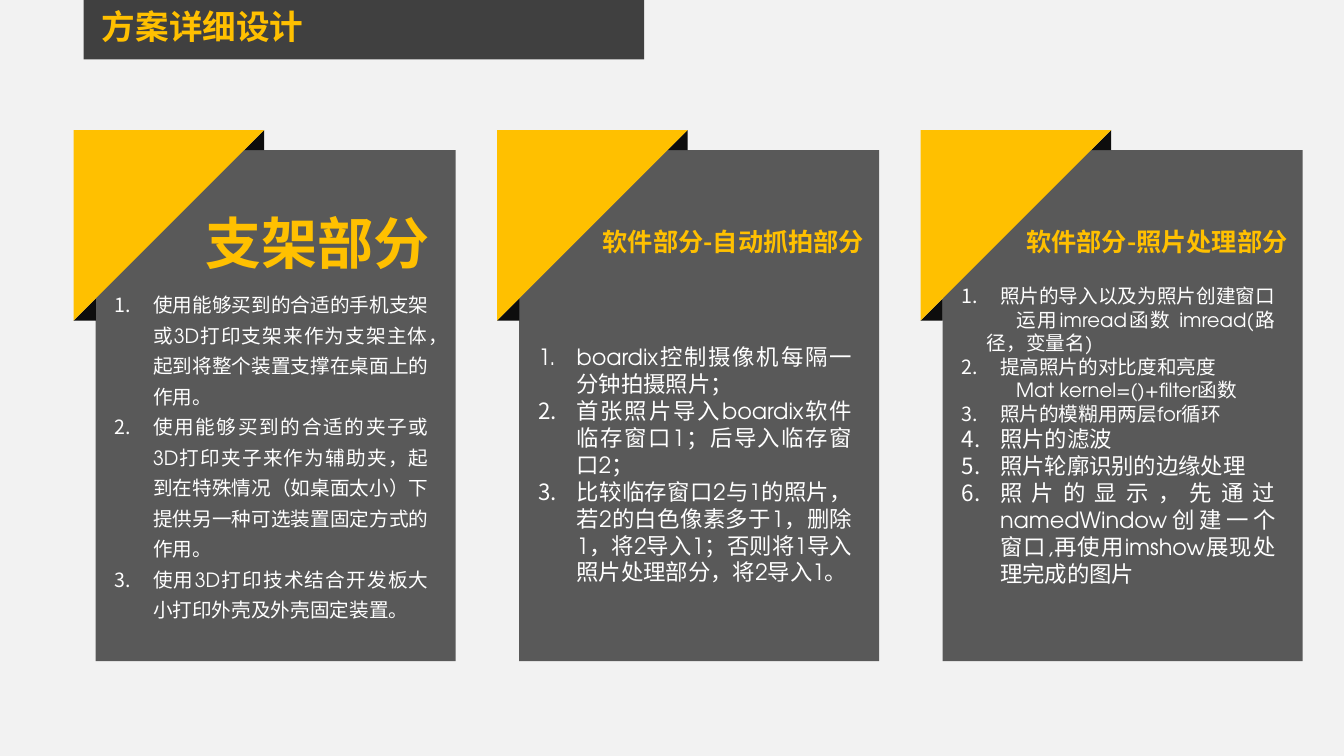
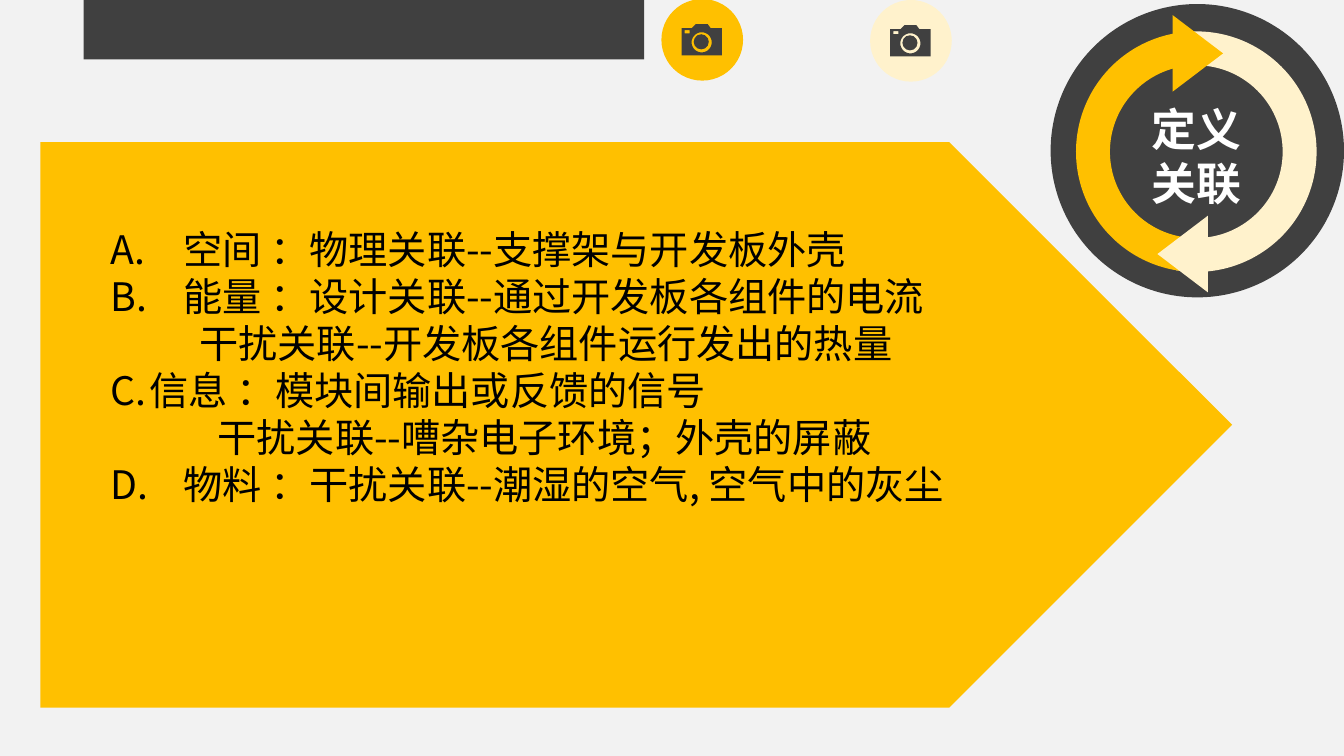
from math import cos, pi, sin

from lxml.etree import SubElement
from pptx import Presentation
from pptx.dml.color import RGBColor
from pptx.enum.shapes import MSO_SHAPE as Preset
from pptx.enum.text import MSO_ANCHOR as Anchor, PP_ALIGN as Align
from pptx.oxml.ns import qn
from pptx.util import Inches, Pt

COLORS = {
    "paper": "F2F2F2",
    "band": "404040",
    "card": "595959",
    "fold": "0D0D0D",
    "gold": "FFC000",
    "cream": "FFF2CC",
    "white": "FFFFFF",
    "black": "000000",
}
LATIN = "TeX Gyre Adventor"
CJK = "Noto Sans CJK SC"
TITLE_ONLY = 5
LINE_HEIGHT = 1.2
CARD_STEP = 4.2
HANG = 0.38

CARDS = [
    {
        "heading": "支架部分", "heading_size": 40, "heading_left": 0.99,
        "body_top": 1.3, "spacing": 1.3,
        "items": [
            ("使用能够买到的合适的手机支架或3D打印支架来作为支架主体，起到将整个装置支撑在桌面上的作用。", 14, 1),
            ("使用能够买到的合适的夹子或3D打印夹子来作为辅助夹，起到在特殊情况（如桌面太小）下提供另一种可选装置固定方式的作用。", 14, 1),
            ("使用3D打印技术结合开发板大小打印外壳及外壳固定装置。", 14, 1),
        ],
    },
    {
        "heading": "软件部分-自动抓拍部分", "heading_size": 18, "heading_left": 0.73,
        "body_top": 1.87, "spacing": 1,
        "items": [
            ("boardix控制摄像机每隔一分钟拍摄照片；", 16, 1),
            ("首张照片导入boardix软件临存窗口1；后导入临存窗口2；", 16, 1),
            ("比较临存窗口2与1的照片，若2的白色像素多于1，删除1，将2导入1；否则将1导入照片处理部分，将2导入1。", 16, 1),
        ],
    },
    {
        "heading": "软件部分-照片处理部分", "heading_size": 18, "heading_left": 0.73,
        "body_top": 1.28, "spacing": 1,
        "items": [
            ("照片的导入以及为照片创建窗口", 14, 1),
            ("运用imread函数 imread(路径，变量名)", 14, None),
            ("提高照片的对比度和亮度", 14, 2),
            ("Mat kernel=()+filter函数", 14, None),
            ("照片的模糊用两层for循环", 14, 3),
            ("照片的滤波", 16, 3),
            ("照片轮廓识别的边缘处理", 16, 3),
            ("照片的显示，先通过namedWindow创建一个窗口,再使用imshow展现处理完成的图片", 16, 3),
        ],
    },
]

RELATIONS = [
    ("空间 ：物理关联--支撑架与开发板外壳", 0.72, 1),
    ("能量 ：设计关联--通过开发板各组件的电流", 0.72, 2),
    ("干扰关联--开发板各组件运行发出的热量", 0.88, None),
    ("信息 ：模块间输出或反馈的信号", HANG, 3),
    ("干扰关联--嘈杂电子环境；外壳的屏蔽", 1.06, None),
    ("物料 ：干扰关联--潮湿的空气, 空气中的灰尘", 0.72, 4),
]


def rgb(color):
    return RGBColor.from_string(COLORS[color])


def paint(shape, color):
    shape.shadow.inherit = False
    shape.fill.solid()
    shape.fill.fore_color.rgb = rgb(color)
    shape.line.fill.background()
    return shape


def add_shape(page, preset, left, top, width, height, color, rotation=0):
    shape = page.shapes.add_shape(
        preset, Inches(left), Inches(top), Inches(width), Inches(height))
    shape.rotation = rotation
    return paint(shape, color)


def add_text_box(page, left, top, width, height, anchor=Anchor.TOP):
    box = page.shapes.add_textbox(
        Inches(left), Inches(top), Inches(width), Inches(height))
    box.text_frame.word_wrap = True
    box.text_frame.vertical_anchor = anchor
    return box.text_frame


def place_title(page, left, top, width, height, anchor):
    title = page.shapes.title
    title.left, title.top = Inches(left), Inches(top)
    title.width, title.height = Inches(width), Inches(height)
    title.text_frame.word_wrap = True
    title.text_frame.vertical_anchor = anchor
    return title


def next_paragraph(frame):
    first = frame.paragraphs[0]
    return frame.add_paragraph() if first.runs else first


def indent(para, left, first):
    properties = para._p.get_or_add_pPr()
    properties.set("marL", str(Inches(left)))
    properties.set("indent", str(Inches(first)))
    return properties


def number(para, scheme, start, hang, color, face):
    properties = indent(para, hang, -hang)
    tint = SubElement(properties, qn("a:buClr"))
    SubElement(tint, qn("a:srgbClr"), val=COLORS[color])
    SubElement(properties, qn("a:buFont"), typeface=face)
    SubElement(properties, qn("a:buAutoNum"), type=scheme, startAt=str(start))


def write(para, text, size, color, face, bold=False, align=Align.LEFT, spacing=1):
    para.add_run().text = text
    para.alignment = align
    para.space_before = Pt(0)
    para.line_spacing = Pt(round(size * LINE_HEIGHT * spacing, 1))
    font = para.font
    font.size, font.bold, font.name = Pt(size), bold, face
    font.color.rgb = rgb(color)
    latin = font._element.find(qn("a:latin"))
    east_asian = SubElement(font._element, qn("a:ea"), typeface=CJK)
    latin.addnext(east_asian)


def style_layout(deck):
    layout = deck.slide_layouts[TITLE_ONLY]
    fill = deck.slide_master.background.fill
    fill.solid()
    fill.fore_color.rgb = rgb("paper")
    return layout


def move_band_to_layout(page, layout):
    band = add_shape(page, Preset.RECTANGLE, 0.83, 0, 5.56, 0.59, "band")
    band._element.nvSpPr.cNvPr.set("id", "20")
    layout.shapes._spTree.append(band._element)


def add_card(page, left, top, card):
    add_shape(page, Preset.RECTANGLE, left, top, 3.57, 5.07, "card")
    corner_left, corner_top = left - 0.22, top - 0.2
    for fold_left, fold_top, side in (
            (corner_left + 1.69, corner_top, 0.2),
            (corner_left, corner_top + 1.67, 0.22)):
        fold = add_shape(page, Preset.ISOSCELES_TRIANGLE,
                         fold_left, fold_top, side, side, "fold")
        fold.adjustments[0] = 1
    add_shape(page, Preset.RIGHT_TRIANGLE, corner_left, corner_top,
              1.89, 1.89, "gold", 90)
    body = add_text_box(page, left + 0.09, top + card["body_top"], 3.31, 3.1)
    for text, size, start in card["items"]:
        para = next_paragraph(body)
        if start:
            number(para, "arabicPeriod", start, HANG, "white", LATIN)
        else:
            indent(para, 0.25, 0.29)
        write(para, text, size, "white", LATIN,
              align=Align.JUSTIFY, spacing=card["spacing"])
    heading = add_text_box(page, left + card["heading_left"], top + 0.46,
                           3, 0.9, Anchor.MIDDLE)
    write(heading.paragraphs[0], card["heading"], card["heading_size"],
          "gold", CJK, True)


def add_relations(page, left, top):
    add_shape(page, Preset.PENTAGON, left, top, 11.82, 5.61, "gold")
    frame = add_text_box(page, left + 0.6, top + 0.78, 8.96, 3)
    for text, margin, start in RELATIONS:
        para = next_paragraph(frame)
        if start:
            number(para, "alphaUcPeriod", start, margin, "black", CJK)
        else:
            indent(para, margin, 0)
        write(para, text, 28, "black", CJK, align=Align.JUSTIFY)


def add_badge(page, left, top):
    add_shape(page, Preset.OVAL, left, top, 2.91, 2.91, "band")
    for color, start, end in (("cream", 265, 100), ("gold", 93, 264)):
        arc = page.shapes.add_shape(
            Preset.ARC, Inches(left + 0.42), Inches(top + 0.44),
            Inches(2.05), Inches(2.05))
        arc.shadow.inherit = False
        arc.fill.background()
        arc.line.color.rgb = rgb(color)
        arc.line.width = Pt(24.25)
        arc.adjustments[0], arc.adjustments[1] = start * 0.6, end * 0.6
    for color, x, y, rotation in (("gold", 1.08, 0.24, 90), ("cream", 0.93, 2.23, 270)):
        add_shape(page, Preset.ISOSCELES_TRIANGLE, left + x, top + y,
                  0.76, 0.5, color, rotation)
    title = place_title(page, left + 0.8, top + 0.91, 1.3, 1.18, Anchor.MIDDLE)
    page.shapes._spTree.append(title._element)
    for text in ("定义", "关联"):
        write(next_paragraph(title.text_frame), text, 32, "white", LATIN,
              True, Align.CENTER)


def add_camera(page, left, top, color):
    add_shape(page, Preset.OVAL, left, top, 0.81, 0.81, color)
    x, y = left + 0.2, top + 0.25
    body = [(0, 0.04), (0.1, 0.04), (0.14, 0), (0.26, 0), (0.29, 0.04),
            (0.4, 0.04), (0.4, 0.31), (0, 0.31)]
    flash = [(0.03, 0.06), (0.03, 0.09), (0.08, 0.09), (0.08, 0.06)]
    steps = 36
    lens = [(0.2 + 0.1 * cos(2 * pi * step / steps),
             0.18 - 0.1 * sin(2 * pi * step / steps)) for step in range(steps)]
    outline = None
    for contour in (body, flash, lens):
        points = [(Inches(x + dx), Inches(y + dy)) for dx, dy in contour]
        if outline is None:
            outline = page.shapes.build_freeform(*points[0])
        else:
            outline.move_to(*points[0])
        outline.add_line_segments(points[1:], close=True)
    paint(outline.convert_to_shape(), "band")
    add_shape(page, Preset.OVAL, x + 0.12, y + 0.1, 0.15, 0.15, "band")


def build_design_slide(page):
    title = place_title(page, 0.91, 0.05, 3.75, 0.5, Anchor.TOP)
    write(title.text_frame.paragraphs[0], "方案详细设计", 24, "gold", LATIN, True,
          spacing=0.9)
    for index, card in enumerate(CARDS):
        add_card(page, 0.95 + index * CARD_STEP, 1.49, card)


def build_relation_slide(page):
    add_relations(page, 0.4, 1.41)
    add_badge(page, 10.42, 0.04)
    add_camera(page, 8.63, 0, "cream")
    add_camera(page, 6.56, -0.01, "gold")


def main():
    deck = Presentation()
    deck.slide_width, deck.slide_height = Inches(13.33), Inches(7.5)
    layout = style_layout(deck)
    design, relation = [deck.slides.add_slide(layout) for _ in range(2)]
    move_band_to_layout(design, layout)
    build_design_slide(design)
    build_relation_slide(relation)
    deck.save("out.pptx")


if __name__ == "__main__":
    main()
